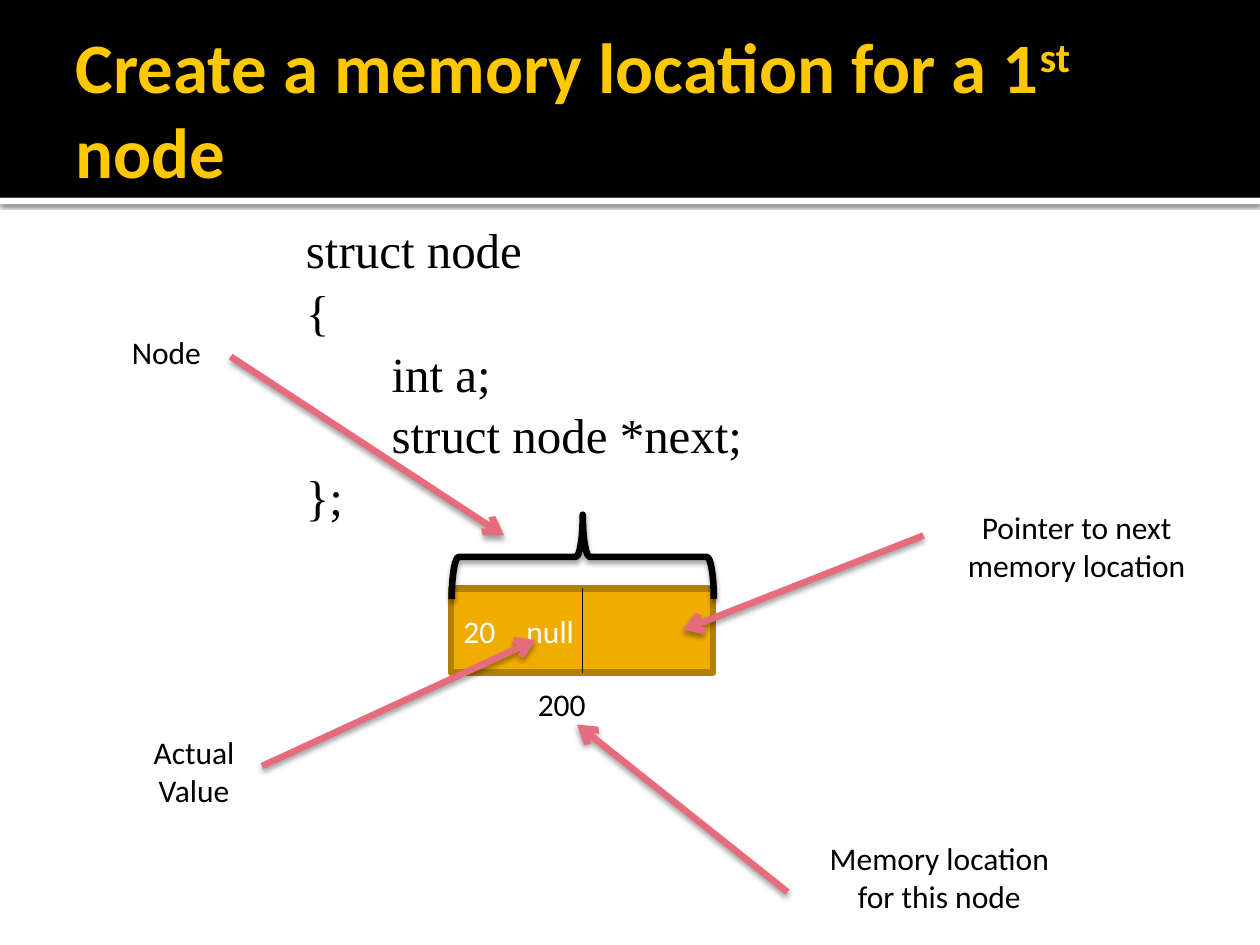
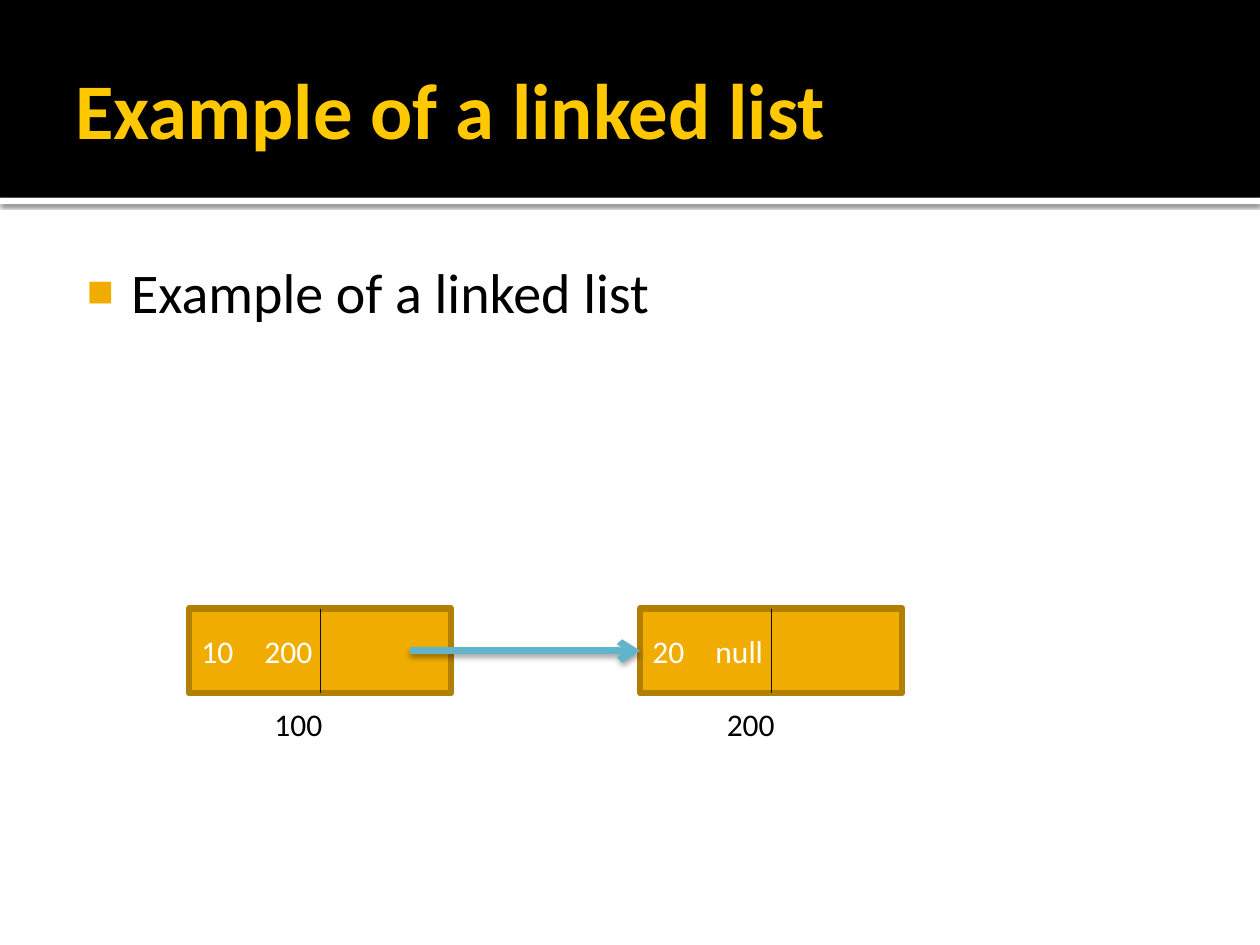
from lxml.etree import SubElement
from pptx import Presentation
from pptx.dml.color import RGBColor
from pptx.enum.shapes import MSO_CONNECTOR, MSO_SHAPE
from pptx.enum.text import MSO_ANCHOR, MSO_AUTO_SIZE, PP_ALIGN
from pptx.oxml.ns import qn
from pptx.util import Inches, Pt

COLORS = {
    "black": "000000", "white": "FFFFFF", "title": "FFC800", "node": "F0AD00",
    "node_edge": "B28000", "divider": "0D0D0D", "callout": "E66C7D", "link": "60B5CC",
}
FONT, CODE_FONT = "Calibri", "Times New Roman"
EDGE = 3.78
NODE_W, NODE_H = 2.08, 0.67

# Slide 1 content
MEMORY_TITLE = [("Create a memory location for a 1", False), ("st", True), (" node", False)]
STRUCT_LINES = [  # text, indent level
    ("struct node", 0), ("{", 0), ("int a;", 1), ("struct node *next;", 1), ("};", 0),
]
FIRST_NODE = ("20", "null", "200", 3.58, 4.67, 0.59)  # value, next, address, x, y, address offset
CALLOUTS = [  # text, label box, arrow start, arrow end
    ("Actual Value", (1, 5.83, 1.08, 0.58), (2.08, 6.08), (4.25, 5.08)),
    ("Pointer to next memory location", (7.42, 3.83, 2.25, 1), (7.33, 4.25), (5.42, 5)),
    ("Memory location for this node", (6.33, 6.67, 2.25, 0.58), (6.25, 7.08), (4.58, 5.75)),
    ("Node", (0.78, 2.5, 1.08, 0.58), (1.83, 2.83), (4, 4.25)),
]

# Slide 2 content
LIST_TITLE = [("Example of a linked list", False)]
LIST_POINT = "Example of a linked list"
LIST_NODES = [("10", "200", "100", 1.5, 4.83, 0.58), ("20", "null", "200", 5.08, 4.83, 0.59)]
LINK_START_X = 3.25


def rgb(name):
    return RGBColor.from_string(COLORS[name])


def inches(*lengths):
    return [Inches(length) for length in lengths]


def add_run(paragraph, text, size, color="black", font=FONT, bold=False):
    run = paragraph.add_run()
    run.text = text
    run.font.name, run.font.size, run.font.bold = font, Pt(size), bold
    run.font.color.rgb = rgb(color)
    return run


def set_insets(frame, left, top, right, bottom):
    frame.margin_left, frame.margin_top, frame.margin_right, frame.margin_bottom = inches(
        left, top, right, bottom)


def place(shape, left, top, width, height):
    shape.left, shape.top, shape.width, shape.height = inches(left, top, width, height)


def set_shadow(shape, alpha, blur, distance):
    properties = shape.element.spPr
    for effects in properties.findall(qn("a:effectLst")):
        properties.remove(effects)
    effects = SubElement(properties, qn("a:effectLst"))
    outer = SubElement(effects, qn("a:outerShdw"), blurRad=str(Pt(blur)),
                       dist=str(Pt(distance)), dir="5400000", rotWithShape="0")
    tint = SubElement(outer, qn("a:srgbClr"), val=COLORS["black"])
    SubElement(tint, qn("a:alpha"), val=str(alpha * 1000))


def set_line(shape, color, width):
    shape.line.color.rgb = rgb(color)
    shape.line.width = Pt(width)
    SubElement(shape.line._get_or_add_ln(), qn("a:round"))


def add_block(shapes, kind, box, fill=None, edge=None):
    block = shapes.add_shape(kind, *inches(*box))
    block.shadow.inherit = False
    if fill:
        block.fill.solid()
        block.fill.fore_color.rgb = rgb(fill)
    else:
        block.fill.background()
    if edge:
        set_line(block, edge, EDGE)
    else:
        block.line.fill.background()
    return block


def write_block(block, text, color):
    block.text_frame.vertical_anchor = MSO_ANCHOR.MIDDLE
    paragraph = block.text_frame.paragraphs[0]
    paragraph.alignment = PP_ALIGN.LEFT
    add_run(paragraph, text, 18, color)


def add_straight(shapes, start, end, color, width):
    line = shapes.add_connector(MSO_CONNECTOR.STRAIGHT, *inches(*start, *end))
    set_line(line, color, width)
    SubElement(line.element.spPr, qn("a:effectLst"))
    return line


def add_arrow(shapes, start, end, color):
    arrow = add_straight(shapes, start, end, color, EDGE)
    SubElement(arrow.line._get_or_add_ln(), qn("a:tailEnd"), type="arrow")
    set_shadow(arrow, 38, 3.5, 2)
    return arrow


def add_node(slide, value, following, address, left, top, address_offset):
    """Draw a list node with its address below and return its rectangle."""
    parts = slide.shapes.add_group_shape().shapes
    cell = add_block(parts, MSO_SHAPE.RECTANGLE, (left, top, NODE_W, NODE_H), "node", "node_edge")
    write_block(cell, f"{value}\t{following}", "white")
    middle = left + NODE_W / 2
    add_straight(parts, (middle, top), (middle, top + NODE_H), "divider", 0.5)
    address_box = (left + address_offset, top + 0.75, 0.83, 0.33)
    location = add_block(parts, MSO_SHAPE.RECTANGLE, address_box, edge="white")
    write_block(location, address, "black")
    return cell


def add_titled_slide(deck, layout, title_runs, size):
    slide = deck.slides.add_slide(deck.slide_layouts[layout])
    title = slide.shapes.title
    place(title, 0.5, 0.17, 9, 1.37)
    frame = title.text_frame
    frame.auto_size, frame.word_wrap = MSO_AUTO_SIZE.NONE, True
    frame.vertical_anchor = MSO_ANCHOR.MIDDLE
    set_insets(frame, 0.1, 0.05, 0.05, 0.05)
    paragraph = frame.paragraphs[0]
    paragraph.alignment = PP_ALIGN.LEFT
    for text, raised in title_runs:
        run = add_run(paragraph, text, size, "title", bold=True)
        if raised:
            run.font._element.set("baseline", "30000")
    return slide


def add_master_bands(deck, slide):
    """Build the header bands and move them behind the master's placeholders."""
    strip = add_block(slide.shapes, MSO_SHAPE.RECTANGLE, (0, 1.57, 10, 0.05), "white")
    set_shadow(strip, 60, 2.5, 0.8)
    header = add_block(slide.shapes, MSO_SHAPE.RECTANGLE, (0, 0, 10, 1.57), "black")
    master_tree = deck.slide_master.shapes.element
    for index, band in enumerate((strip, header), start=2):
        band.element.nvSpPr.cNvPr.set("id", str(20 + index))
        master_tree.insert(index, band.element)


def add_struct_code(slide):
    code = slide.shapes.add_textbox(*inches(2.33, 1.67, 6.33, 2.46)).text_frame
    code.word_wrap = True
    for index, (text, level) in enumerate(STRUCT_LINES):
        paragraph = code.add_paragraph() if index else code.paragraphs[0]
        paragraph.line_spacing = 1.05
        if level:
            paragraph._p.get_or_add_pPr().set("marL", str(Inches(0.68 * level)))
        add_run(paragraph, text, 28, font=CODE_FONT)


def add_callout(slide, text, box, start, end):
    add_arrow(slide.shapes, start, end, "callout")
    label = slide.shapes.add_textbox(*inches(*box)).text_frame
    label.word_wrap = True
    label.vertical_anchor = MSO_ANCHOR.MIDDLE
    label.paragraphs[0].alignment = PP_ALIGN.CENTER
    add_run(label.paragraphs[0], text, 18)


def build_memory_slide(deck):
    slide = add_titled_slide(deck, 5, MEMORY_TITLE, 40.5)
    add_master_bands(deck, slide)
    add_struct_code(slide)
    add_node(slide, *FIRST_NODE)
    # Brace spanning the node
    brace = add_block(slide.shapes, MSO_SHAPE.LEFT_BRACE, (4.29, 3.38, 0.67, NODE_W), edge="black")
    brace.rotation = 90
    set_shadow(brace, 38, 3.1, 2)
    for callout in CALLOUTS:
        add_callout(slide, *callout)


def build_list_slide(deck):
    slide = add_titled_slide(deck, 1, LIST_TITLE, 45)
    # Bulleted point
    body = slide.placeholders[1]
    place(body, 0.5, 1.94, 9, 5.06)
    set_insets(body.text_frame, 0.06, 0.1, 0.1, 0.05)
    point = body.text_frame.paragraphs[0]
    point.space_before = Pt(0)
    add_run(point, LIST_POINT, 32)
    layout = point._p.get_or_add_pPr()
    layout.set("marL", str(Inches(0.48)))
    layout.set("indent", str(Inches(-0.35)))
    bullet_color = SubElement(layout, qn("a:buClr"))
    SubElement(bullet_color, qn("a:srgbClr"), val=COLORS["node"])
    SubElement(layout, qn("a:buSzPct"), val="80000")
    SubElement(layout, qn("a:buChar"), char="■")
    # Linked nodes
    first, second = [add_node(slide, *node) for node in LIST_NODES]
    link_y = LIST_NODES[0][4] + NODE_H / 2
    link = add_arrow(slide.shapes, (LINK_START_X, link_y), (LIST_NODES[1][3], link_y), "link")
    link.end_connect(second, 1)


def main():
    deck = Presentation()
    deck.slide_width, deck.slide_height = inches(10, 7.5)
    build_memory_slide(deck)
    build_list_slide(deck)
    deck.save("out.pptx")


if __name__ == "__main__":
    main()
